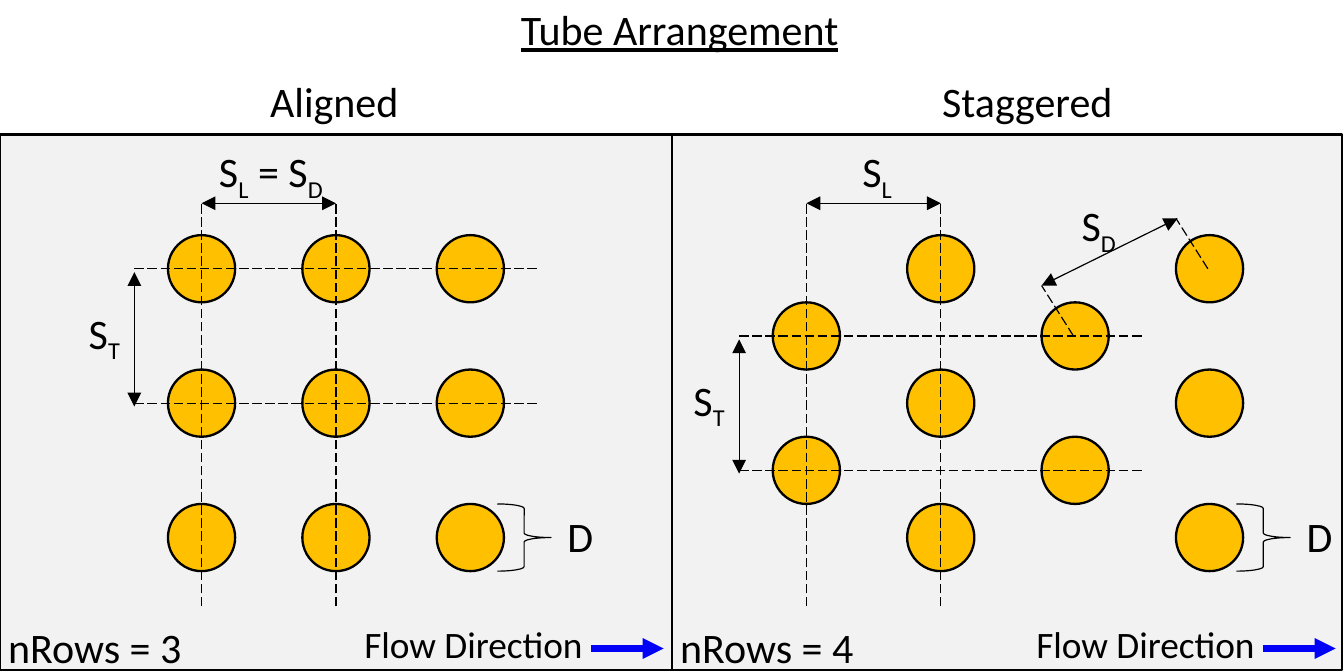
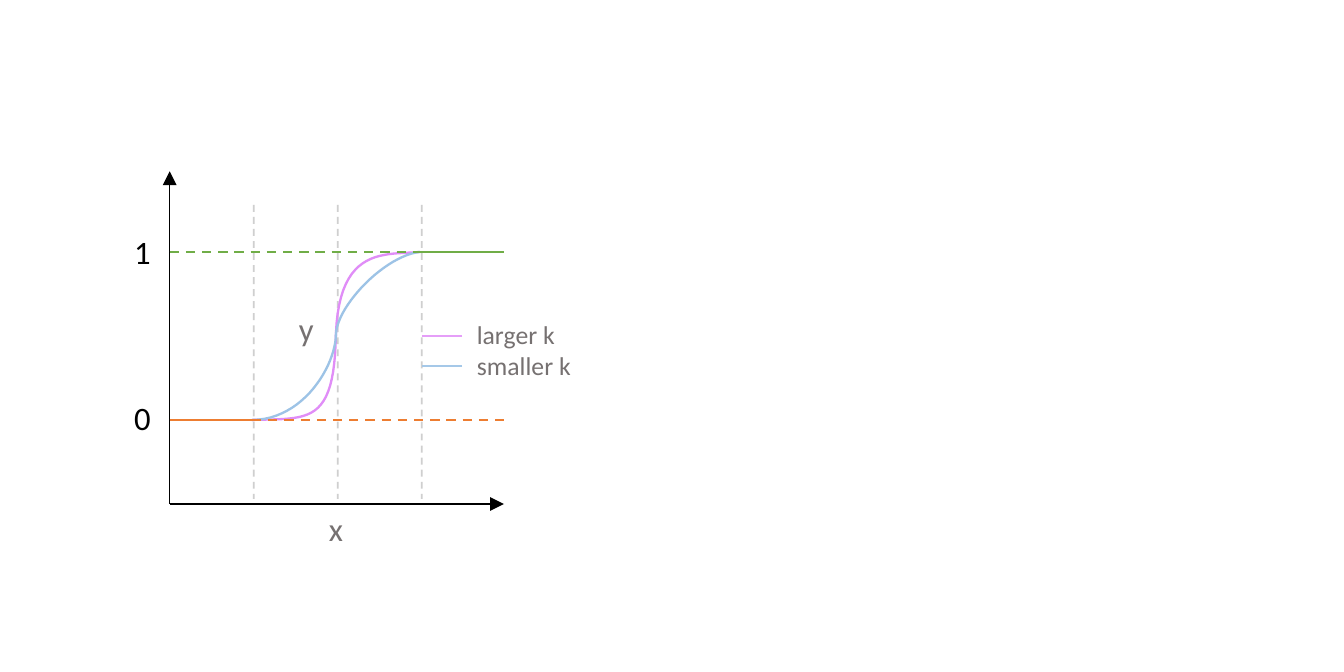
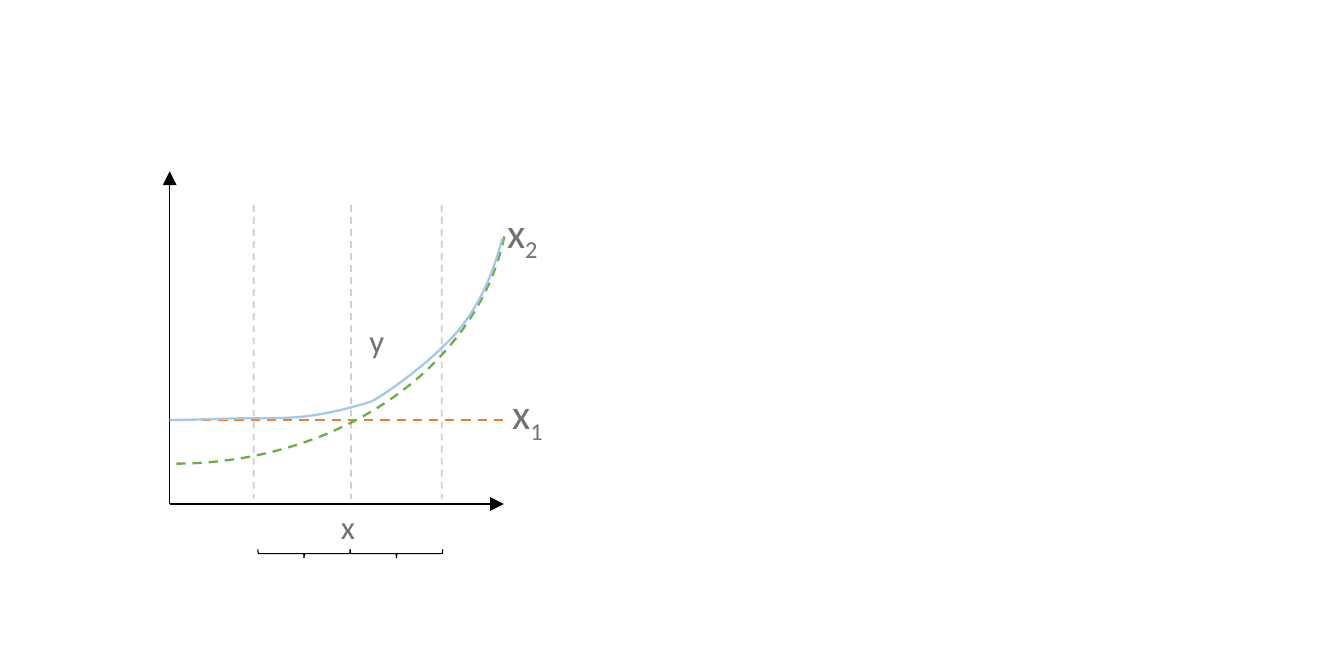
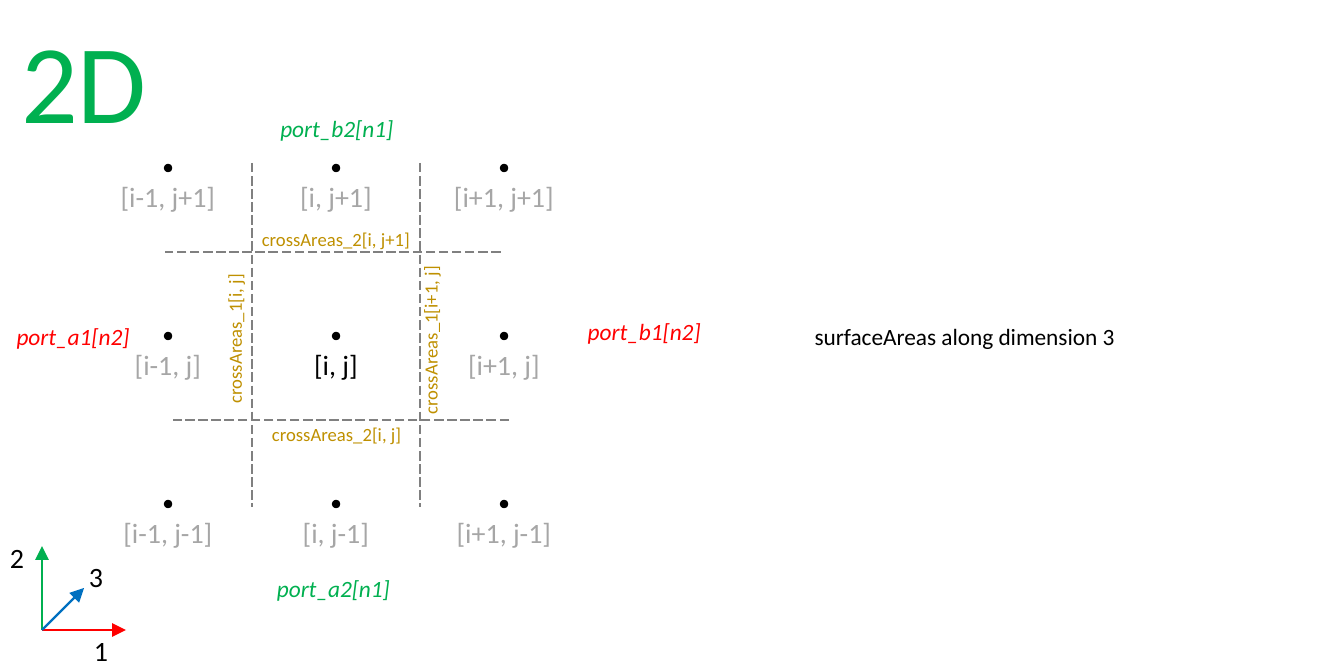
import pptx
import pptx.util
import pptx.dml.color
import pptx.enum.dml
import pptx.enum.shapes
import pptx.enum.text
import pptx.oxml.ns
import pptx.oxml.xmlchemy

Inches = pptx.util.Inches
SHAPE = pptx.enum.shapes.MSO_SHAPE
DASH = pptx.enum.dml.MSO_LINE.DASH
LONG_DASH = pptx.enum.dml.MSO_LINE.LONG_DASH
ALIGN = pptx.enum.text.PP_ALIGN
qn = pptx.oxml.ns.qn
new_element = pptx.oxml.xmlchemy.OxmlElement

FONT = "Calibri"
TITLE_LAYOUT, BLANK_LAYOUT = 5, 6
COLORS = {
    "black": "000000", "panel": "F2F2F2", "tube": "FFC000", "flow": "0201F7",
    "guide": "A5A5A5", "label": "767171", "low": "ED7D31", "high": "70AD47",
    "large_k": "E08DF7", "large_key": "E59EF8", "small_k": "9DC3E6",
    "small_key": "A5C8E8", "cell": "808080", "neighbour": "A6A6A6",
    "area": "BF9000", "red": "FF0000", "green": "00B050", "blue": "0070C0",
}


def rgb(name):
    """Return the named colour."""
    return pptx.dml.color.RGBColor.from_string(COLORS[name])


def write(box, text, size=18, color="black", italic=None, underline=None,
          align=ALIGN.LEFT, wrap=False):
    """Fill a box with text; parts between tildes become subscripts."""
    frame = box.text_frame
    frame.word_wrap = wrap
    frame.auto_size = pptx.enum.text.MSO_AUTO_SIZE.SHAPE_TO_FIT_TEXT
    frame.vertical_anchor = pptx.enum.text.MSO_ANCHOR.TOP
    for number, row in enumerate(text.split("\n")):
        para = frame.add_paragraph() if number else frame.paragraphs[0]
        para.alignment = align
        for index, part in enumerate(row.split("~")):
            if not part:
                continue
            span = para.add_run()
            span.text = part
            span.font.name = FONT
            span.font.size = pptx.util.Pt(size)
            span.font.color.rgb = rgb(color)
            span.font.italic = italic
            span.font.underline = underline
            if index % 2:
                span._r.get_or_add_rPr().set("baseline", "-25000")


def label(holder, text, left, top, width, height=0.4, rotation=0, **style):
    """Add a text box to a slide or group."""
    box = holder.shapes.add_textbox(*map(Inches, (left, top, width, height)))
    box.rotation = rotation
    write(box, text, **style)


def title(page, text, left, top, width, height, **style):
    """Move the title placeholder and write in it."""
    box = page.shapes.title
    box.left, box.top, box.width, box.height = map(
        Inches, (left, top, width, height))
    write(box, text, **style)


def line(holder, start, end, color="black", weight=0.5, dash=None,
         head=False, tail=False, opacity=None):
    """Add a straight line, with optional arrowheads."""
    link = holder.shapes.add_connector(
        pptx.enum.shapes.MSO_CONNECTOR.STRAIGHT, *map(Inches, (*start, *end)))
    link.line.color.rgb = rgb(color)
    link.line.width = pptx.util.Pt(weight)
    if dash:
        link.line.dash_style = dash
    outline = link._element.spPr.find(qn("a:ln"))
    for tag, wanted in (("a:headEnd", head), ("a:tailEnd", tail)):
        if wanted:
            arrow = new_element(tag)
            arrow.set("type", "triangle")
            outline.append(arrow)
    if opacity:
        alpha = new_element("a:alpha")
        alpha.set("val", str(opacity * 1000))
        next(outline.iter(qn("a:srgbClr"))).append(alpha)
    link._element.spPr.append(new_element("a:effectLst"))


def paint(shape, fill=None, color=None, weight=1, dash=None):
    """Set fill and outline of a shape, without shadow."""
    shape.shadow.inherit = False
    if fill:
        shape.fill.solid()
        shape.fill.fore_color.rgb = rgb(fill)
    else:
        shape.fill.background()
    if color:
        shape.line.color.rgb = rgb(color)
        shape.line.width = pptx.util.Pt(weight)
        if dash:
            shape.line.dash_style = dash
    else:
        shape.line.fill.background()


def preset(page, kind, left, top, width, height, rotation=0, **look):
    """Add a preset shape."""
    shape = page.shapes.add_shape(
        kind, *map(Inches, (left, top, width, height)))
    shape.rotation = rotation
    paint(shape, **look)
    return shape


def circle(page, x, y, size, **look):
    """Add a circle around a centre."""
    preset(page, SHAPE.OVAL, x - size / 2, y - size / 2, size, size, **look)


def curve(page, left, top, start, arcs, color, steps=24):
    """Add a curve of cubic arcs, each (control, control, end)."""
    points = [start]
    for first, second, end in arcs:
        origin = points[-1]
        for step in range(1, steps + 1):
            t = step / steps
            weights = ((1 - t) ** 3, 3 * t * (1 - t) ** 2,
                       3 * t ** 2 * (1 - t), t ** 3)
            knots = (origin, first, second, end)
            points.append(tuple(
                sum(w * knot[axis] for w, knot in zip(weights, knots))
                for axis in (0, 1)))
    places = [(Inches(left + x), Inches(top + y)) for x, y in points]
    builder = page.shapes.build_freeform(*places[0])
    builder.add_line_segments(places[1:], close=False)
    paint(builder.convert_to_shape(), color=color)


def tube_panel(page, left, top, width, height, heading, heading_width,
               columns, first, spacing, spacing_width):
    """Draw a tube bank; columns hold (first row offset, tube count)."""
    pitch, diameter = 0.8, 0.4
    preset(page, SHAPE.RECTANGLE, left, top, width, height,
           fill="panel", color="black")
    label(page, heading, left + 1.51, top - 0.4, heading_width)
    x0, y0 = left + first, top + 0.8
    for column, (offset, count) in enumerate(columns):
        for row in range(count):
            circle(page, x0 + column * pitch, y0 + offset + row * pitch,
                   diameter, fill="tube", color="black")
    row_y = y0 + columns[0][0]
    for step in (0, pitch):
        line(page, (x0 + step, top + 2.81), (x0 + step, top + 0.4),
             dash=LONG_DASH)
        line(page, (x0 - 0.4, row_y + step), (x0 + 2, row_y + step),
             dash=LONG_DASH)
    line(page, (x0, top + 0.41), (x0 + pitch, top + 0.41),
         head=True, tail=True)
    line(page, (x0 - 0.4, row_y + 0.02), (x0 - 0.4, row_y + 0.02 + pitch),
         head=True, tail=True)
    label(page, spacing, x0 + 0.43 - spacing_width / 2, top + 0.02,
          spacing_width)
    label(page, "S~T~", x0 - 0.77, row_y + 0.18, 0.4)

    last_x = x0 + (len(columns) - 1) * pitch
    preset(page, SHAPE.RIGHT_BRACE, last_x + 0.16, top + 2.2, 0.32, diameter,
           color="black", weight=0.5)
    label(page, "D", last_x + 0.48, top + 2.19, 0.36)
    label(page, f"nRows = {len(columns)}", left - 0.05, top + 2.85, 1.25)
    label(page, "Flow Direction", left + 2.07, top + 2.85, 1.92, 0.37,
          size=16, wrap=True)
    line(page, (left + 3.52, top + 3.06), (left + 3.95, top + 3.06),
         color="flow", weight=3, tail=True)


def diagonal_pitch(page, left, top):
    """Mark the diagonal spacing between two staggered tubes."""
    line(page, (left, top + 0.4), (left + 0.81, top), head=True, tail=True)
    for x, y in ((0, 0.4), (0.8, 0)):
        line(page, (left + x + 0.19, top + y + 0.3), (left + x, top + y),
             dash=LONG_DASH)
    label(page, "S~D~", left + 0.14, top - 0.16, 0.42)


def plot_axes(page, left, top, width, height, guides):
    """Draw two arrow axes and faint vertical guides."""
    bottom = top + height
    for offset in guides:
        line(page, (left + offset, top + 0.2), (left + offset, bottom - 0.03),
             color="guide", weight=0.75, dash=DASH, opacity=52)
    line(page, (left, bottom), (left, top), tail=True)
    line(page, (left, bottom), (left + width, bottom), tail=True)


def plot_label(page, text, left, top, **style):
    """Add a one-letter plot label."""
    label(page, text, left, top, 0.29, 0.34, size=14, **style)


def step_plot(page, left, top, width, height):
    """Plot a smooth step between 0 and 1 for two steepness values."""
    plot_axes(page, left, top, width, height, (0.5, 1, 1.5))
    low, high, start, end = 1.48, 0.48, 0.49, 1.49
    curve(page, left, top, (start, low), (
        ((0.83, 1.47), (0.98, 1.51), (0.99, 0.97)),
        ((1.01, 0.44), (1.29, 0.5), (end, high))), "large_k")
    curve(page, left, top, (start, low), (
        ((0.8, low), (0.99, 1.15), (0.99, 0.97)),
        ((1, 0.79), (1.29, 0.5), (end, high))), "small_k")
    for x1, x2, y, color, dash in (
            (0, start, low, "low", None), (start, width, low, "low", DASH),
            (end, width, high, "high", None), (0, end, high, "high", DASH)):
        line(page, (left + x1, top + y), (left + x2, top + y),
             color=color, weight=1, dash=dash)
    for y, color in ((0.98, "large_key"), (1.16, "small_key")):
        line(page, (left + 1.74, top + y), (left + 1.5, top + y),
             color=color, weight=1)
    label(page, "larger k\nsmaller k", left + 1.73, top + 0.83, 0.76, 0.47,
          size=11, color="label", wrap=True)
    plot_label(page, "x", left + 0.85, top + 1.96, color="label")
    plot_label(page, "y", left + 0.67, top + 0.77, color="label")
    plot_label(page, "0", left - 0.31, top + 1.3)
    plot_label(page, "1", left - 0.31, top + 0.31)


def maximum_plot(page, left, top, width, height):
    """Plot a smooth maximum of a constant and a rising curve."""
    guides = (0.5, 1.08, 1.62)
    plot_axes(page, left, top, width, height, guides)
    line(page, (left, top + 1.48), (left + width, top + 1.48),
         color="low", weight=1, dash=DASH)
    rise = preset(page, SHAPE.ARC, left - 1.96, top - 1.51, 3.98, 3.25,
                  rotation=180, color="high", dash=DASH)
    for index, degrees in enumerate((187.9, 271.08)):
        rise.adjustments[index] = degrees * 0.6
    curve(page, left, top, (0, 1.48), (
        ((0.16, 1.48), (0.32, 1.47), (0.48, 1.47)),
        ((0.62, 1.47), (0.75, 1.47), (0.87, 1.45)),
        ((0.99, 1.43), (1.11, 1.4), (1.2, 1.37)),
        ((1.28, 1.33), (1.5, 1.17), (1.62, 1.05)),
        ((1.75, 0.93), (1.89, 0.75), (1.98, 0.4))), "small_key")
    thick, span = 0.05, 0.55
    for middle in (0.8, 1.35):
        preset(page, SHAPE.LEFT_BRACE, left + middle - thick / 2, top + 2,
               thick, span, rotation=270, color="black", weight=0.5)
    plot_label(page, "x", left + 0.92, top + 1.95, color="label")
    plot_label(page, "y", left + 1.09, top + 0.84, color="label")
    label(page, "x~1~", left + 1.94, top + 1.24, 0.4, color="label")
    label(page, "x~2~", left + 1.91, top + 0.16, 0.4, color="label")


def axis_triad(page, left, top, size):
    """Draw the grouped direction arrows 1, 2 and 3."""
    group = page.shapes.add_group_shape()
    bottom = top + size
    for number, dx, dy, color, x, y in (
            ("1", 1, 0, "red", 0.21, 0.47),
            ("2", 0, 1, "green", -0.29, -0.08),
            ("3", 0.5, 0.5, "blue", 0.18, 0.03)):
        line(group, (left, bottom), (left + dx * size, bottom - dy * size),
             color=color, weight=1, tail=True)
        label(group, number, left + x, top + y, 0.29, 0.3, size=12)


def cell_grid(page, left, top, pitch):
    """Draw nine indexed nodes and the borders of the middle cell."""
    for row, j in enumerate(("j+1", "j", "j-1")):
        for column, i in enumerate(("i-1", "i", "i+1")):
            x, y = left + column * pitch, top + row * pitch
            circle(page, x, y, 0.05, fill="black")
            label(page, f"[{i}, {j}]", x - 0.4, y + 0.02, 0.8, 0.3, size=12,
                  color="black" if (i, j) == ("i", "j") else "neighbour",
                  align=ALIGN.CENTER)
    for step, shift in ((0.5, -0.02), (1.5, 0.03)):
        x, y = left + step * pitch, top + step * pitch
        line(page, (x, top - 0.03), (x, top + 2 * pitch + 0.02),
             color="cell", dash=LONG_DASH)
        line(page, (left + 2 * pitch + shift, y), (left + shift, y),
             color="cell", dash=LONG_DASH)
    for text, x, y, width, rotation in (
            ("crossAreas_1[i, j]", -0.09, 0.89, 0.98, 270),
            ("crossAreas_1[i+1, j]", 1.02, 0.9, 1.09, 270),
            ("crossAreas_2[i, j]", 0.52, 1.47, 0.98, 0),
            ("crossAreas_2[i, j+1]", 0.46, 0.31, 1.09, 0)):
        label(page, text, left + x, top + y, width, 0.24, rotation=rotation,
              size=8, color="area")
    for text, x, y, color in (
            ("port_a1[n2]", -1, 0.87, "red"),
            ("port_b1[n2]", 2.4, 0.84, "red"),
            ("port_a2[n1]", 0.55, 2.37, "green"),
            ("port_b2[n1]", 0.57, -0.37, "green")):
        label(page, text, left + x, top + y, 0.89, 0.27, size=10,
              color=color, italic=True)


def tube_slide(page):
    """Compare aligned and staggered tube banks."""
    title(page, "Tube Arrangement", 3, -0.03, 2.24, 0.4, underline=True)
    tube_panel(page, 4, 0.8, 3.99, 3.19, "Staggered", 1.23,
               [(0.4, 2), (0, 3)] * 2, 0.8, "S~L~", 0.39)
    diagonal_pitch(page, 6.2, 1.3)
    tube_panel(page, 0, 0.8, 4, 3.19, "Aligned", 0.98,
               [(0, 3)] * 3, 1.2, "S~L~ = S~D~", 0.85)


def grid_slide(page):
    """Show the two-dimensional grid indices."""
    title(page, "2D", 0, 0.02, 1, 0.91, size=48, color="green",
          align=ALIGN.CENTER, wrap=True)
    axis_triad(page, 0.25, 3.25, 0.5)
    cell_grid(page, 1, 1, 1)
    label(page, "surfaceAreas along dimension 3", 4.75, 1.87, 2.01, 0.27,
          size=10)


def build():
    """Build and save the deck."""
    deck = pptx.Presentation()
    deck.slide_width, deck.slide_height = Inches(8), Inches(4)

    def new_page(layout):
        """Add a slide of the given layout."""
        return deck.slides.add_slide(deck.slide_layouts[layout])

    plot_box = (1.01, 1.02, 1.99, 1.98)
    tube_slide(new_page(TITLE_LAYOUT))
    step_plot(new_page(BLANK_LAYOUT), *plot_box)
    maximum_plot(new_page(BLANK_LAYOUT), *plot_box)
    grid_slide(new_page(TITLE_LAYOUT))
    deck.save("out.pptx")


build()
